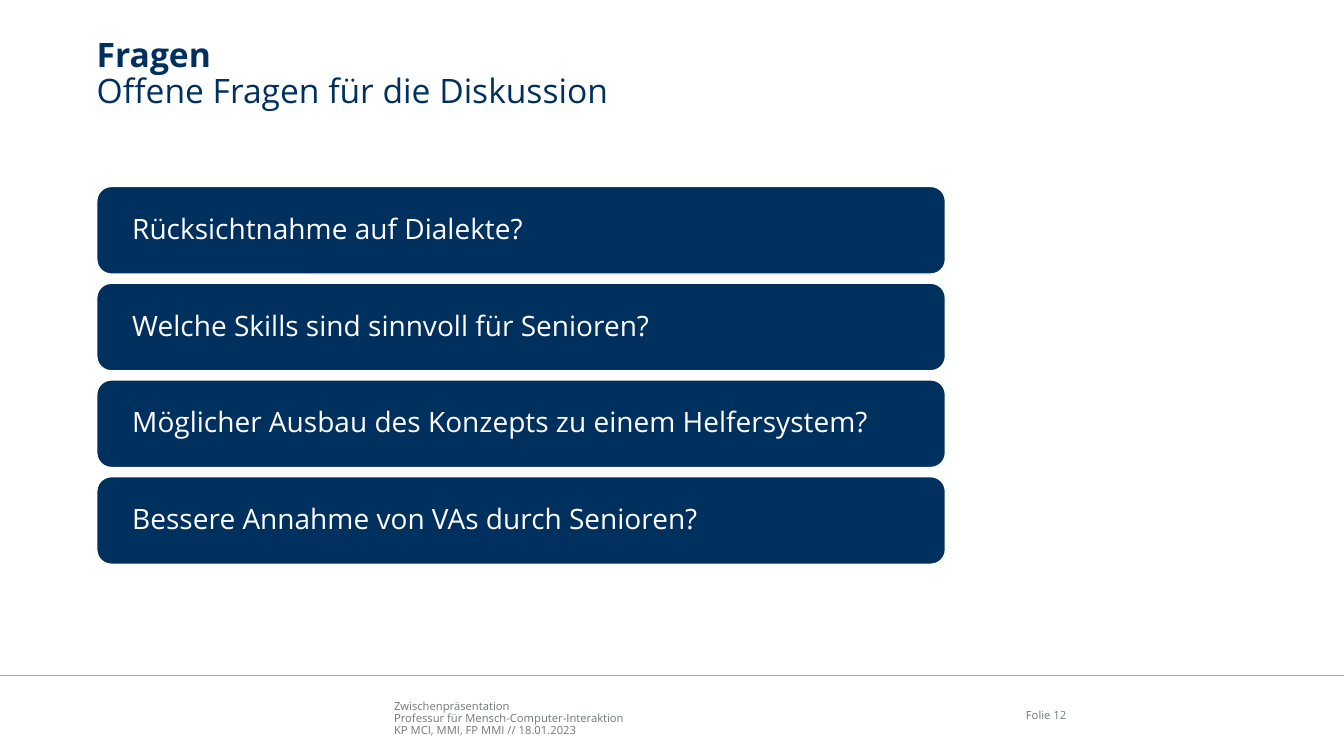
from lxml import etree
from pptx import Presentation
from pptx.dml.color import RGBColor
from pptx.enum.shapes import MSO_CONNECTOR, MSO_SHAPE
from pptx.enum.text import MSO_ANCHOR, PP_ALIGN
from pptx.oxml.ns import qn
from pptx.util import Pt

ROUNDED = MSO_SHAPE.ROUNDED_RECTANGLE
STRAIGHT = MSO_CONNECTOR.STRAIGHT
TOP, MIDDLE, BOTTOM = MSO_ANCHOR.TOP, MSO_ANCHOR.MIDDLE, MSO_ANCHOR.BOTTOM
LEFT, RIGHT = PP_ALIGN.LEFT, PP_ALIGN.RIGHT

FONT = "Open Sans"
NAVY, WHITE, GREY, RULE_GREY = "00305E", "FFFFFF", "727879", "A6A6A6"
PAGE_WIDTH, PAGE_HEIGHT = 960, 540
MARGIN = 69.1
CARD_TOP, CARD_PITCH = 133.2, 69.1
CARD_WIDTH, CARD_HEIGHT, CARD_INSET = 606.2, 62.6, 22.3

QUESTIONS = [
    "Rücksichtnahme auf Dialekte?",
    "Welche Skills sind sinnvoll für Senioren?",
    "Möglicher Ausbau des Konzepts zu einem Helfersystem?",
    "Bessere Annahme von VAs durch Senioren?",
]
FOOTER = [
    "Zwischenpräsentation",
    "Professur für Mensch-Computer-Interaktion",
    "KP MCI, MMI, FP MMI // 18.01.2023",
]


def color(value):
    return RGBColor.from_string(value)


def set_values(target, values):
    for name, value in values.items():
        setattr(target, name, value)


def write_lines(shape, lines, size, text_color, anchor=TOP, align=LEFT, inset=0):
    frame = shape.text_frame
    set_values(frame, {
        "word_wrap": True,
        "vertical_anchor": anchor,
        "margin_left": Pt(inset),
        "margin_right": Pt(inset),
        "margin_top": 0,
        "margin_bottom": 0,
    })
    frame.text = "\n".join(lines)
    for para in frame.paragraphs:
        set_values(para, {"alignment": align, "line_spacing": 0.9})
        for span in para.runs:
            set_values(span.font, {"name": FONT, "size": Pt(size), "bold": False})
            span.font.color.rgb = color(text_color)


def add_text(page, bounds, lines, size, text_color, **layout):
    box = page.shapes.add_textbox(*map(Pt, bounds))
    write_lines(box, lines, size, text_color, **layout)
    return box


def add_card(page, top, question):
    bounds = (MARGIN, top, CARD_WIDTH, CARD_HEIGHT)
    card = page.shapes.add_shape(ROUNDED, *map(Pt, bounds))
    card.shadow.inherit = False
    card.fill.solid()
    card.fill.fore_color.rgb = color(NAVY)
    card.line.color.rgb = color(WHITE)
    card.line.width = Pt(1)
    write_lines(card, [question], 20, WHITE, anchor=MIDDLE, inset=CARD_INSET)


def add_rule(page, top):
    rule = page.shapes.add_connector(STRAIGHT, 0, Pt(top), Pt(PAGE_WIDTH), Pt(top))
    rule.line.color.rgb = color(RULE_GREY)
    rule.line.width = Pt(1)
    etree.SubElement(rule._element.spPr, qn("a:effectLst"))


def main():
    deck = Presentation()
    set_values(deck, {"slide_width": Pt(PAGE_WIDTH), "slide_height": Pt(PAGE_HEIGHT)})
    page = deck.slides.add_slide(deck.slide_layouts[6])

    add_text(page, (281.5, 497.5, 408.2, 28.8), FOOTER, 8, GREY, anchor=BOTTOM)
    add_rule(page, 482.4)
    add_text(page, (706.3, 496.8, 55.4, 28.8), ["Folie 12"], 8, GREY,
             anchor=MIDDLE, align=RIGHT)

    title = add_text(page, (MARGIN, 27.4, 833, 54),
                     ["Fragen", "Offene Fragen für die Diskussion"], 24, NAVY)
    title.text_frame.paragraphs[0].runs[0].font.bold = True

    for index, question in enumerate(QUESTIONS):
        add_card(page, CARD_TOP + index * CARD_PITCH, question)

    deck.save("out.pptx")


if __name__ == "__main__":
    main()
